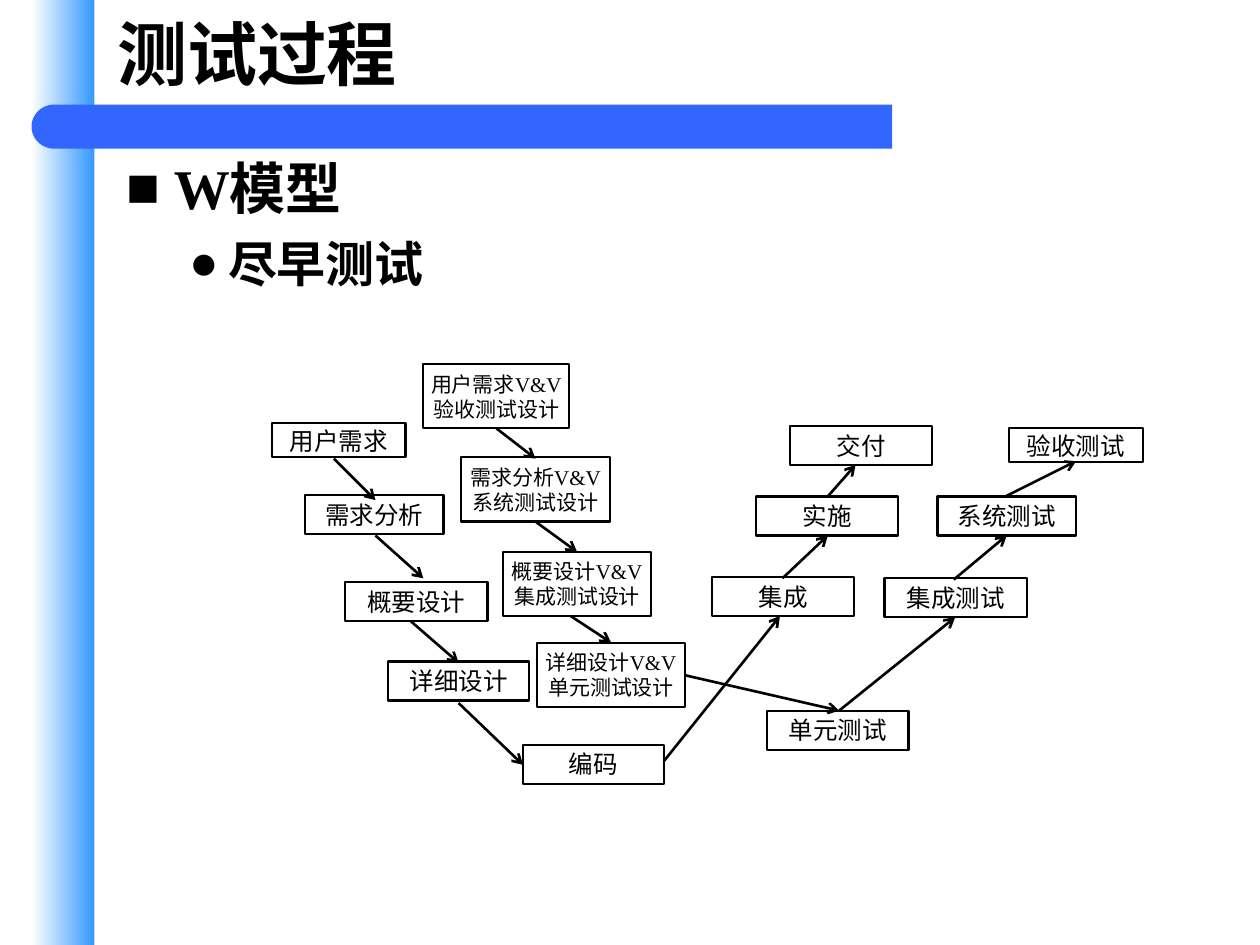
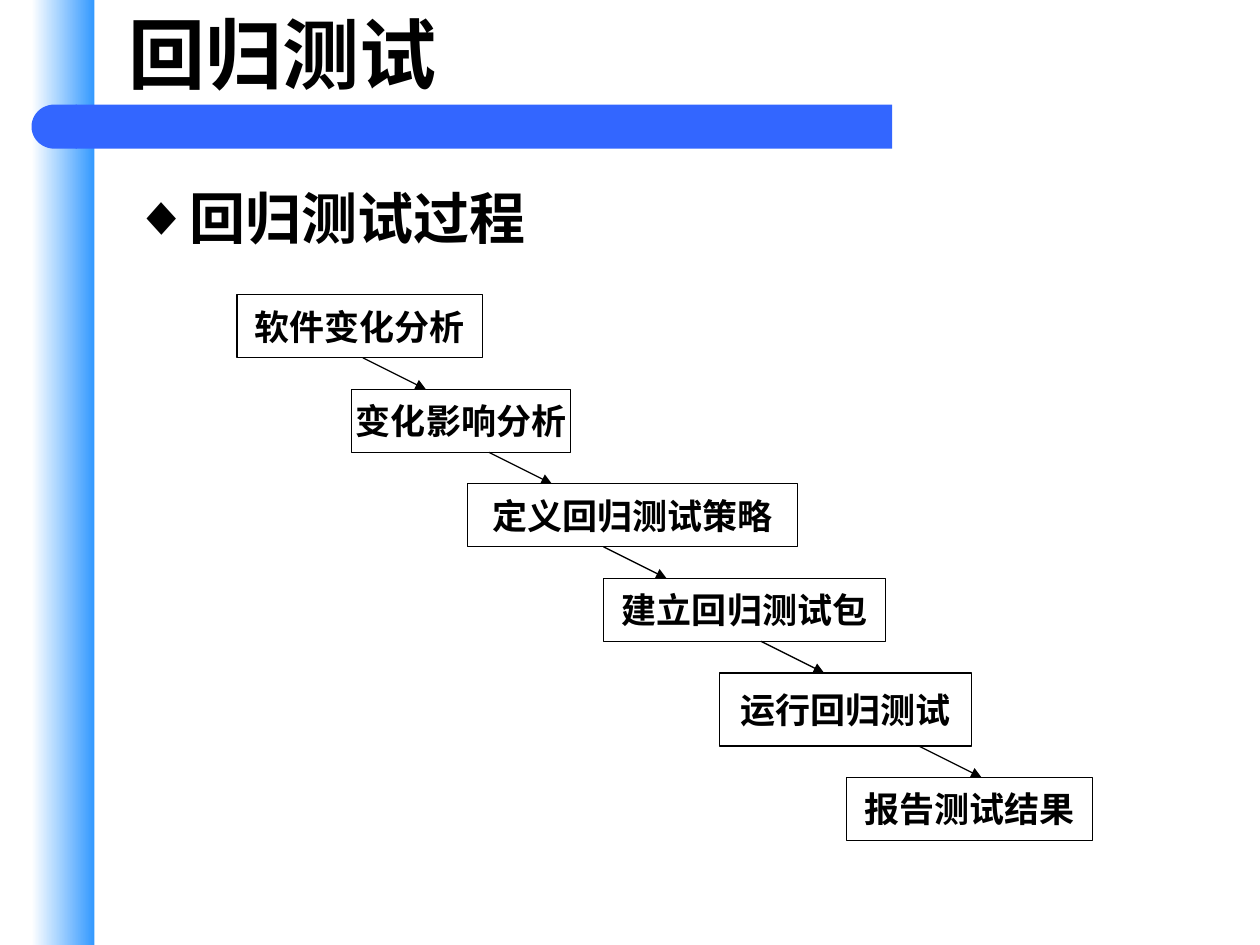
from itertools import pairwise

from pptx import Presentation
from pptx.dml.color import RGBColor
from pptx.enum.shapes import MSO_CONNECTOR, MSO_SHAPE
from pptx.enum.text import MSO_ANCHOR, MSO_AUTO_SIZE, PP_ALIGN
from pptx.oxml.ns import qn
from pptx.util import Inches, Pt

RECT, DELAY = MSO_SHAPE.RECTANGLE, MSO_SHAPE.FLOWCHART_DELAY
STRAIGHT = MSO_CONNECTOR.STRAIGHT
MIDDLE, TOP = MSO_ANCHOR.MIDDLE, MSO_ANCHOR.TOP
LEFT, CENTER = PP_ALIGN.LEFT, PP_ALIGN.CENTER
NO_FIT = MSO_AUTO_SIZE.NONE

BLACK, WHITE, SKY, BLUE = "000000", "FFFFFF", "3399FF", "3366FF"
TITLE_FONT, LATIN_FONT, CJK_FONT = "Calibri", "Times New Roman", "Noto Sans CJK SC"

TITLE_FRAME = {"vertical_anchor": MIDDLE, "auto_size": NO_FIT, "word_wrap": True}
BODY_FRAME = {"vertical_anchor": TOP, "auto_size": NO_FIT, "word_wrap": True,
              "margin_right": 0}
STEP_FRAME = {"vertical_anchor": MIDDLE, "word_wrap": False}
TIGHT_FRAME = STEP_FRAME | dict.fromkeys(
    ("margin_left", "margin_top", "margin_right", "margin_bottom"), Inches(0.04))

W_STEP = {"size": Pt(14), "name": LATIN_FONT, "bold": False}
W_CHECK = W_STEP | {"size": Pt(12)}
REGRESSION_STEP = {"size": Pt(20), "name": LATIN_FONT, "bold": True}

W_STEPS = [
    ("用户需求", 0, 0.47, 1.06, 0.27),
    ("需求分析", 0.26, 1.04, 1.1, 0.31),
    ("概要设计", 0.58, 1.73, 1.13, 0.31),
    ("详细设计", 0.92, 2.36, 1.12, 0.31),
    ("编码", 1.99, 3.02, 1.12, 0.31),
    ("集成", 3.49, 1.69, 1.13, 0.31),
    ("实施", 3.84, 1.05, 1.13, 0.31),
    ("交付", 4.11, 0.49, 1.13, 0.31),
    ("单元测试", 3.93, 2.75, 1.12, 0.31),
    ("集成测试", 4.86, 1.7, 1.13, 0.31),
    ("系统测试", 5.28, 1.05, 1.1, 0.31),
    ("验收测试", 5.85, 0.51, 1.06, 0.27),
]
W_CHECKS = [
    ("用户需求V&V\n验收测试设计", 1.2, 0, 1.16),
    ("需求分析V&V\n系统测试设计", 1.5, 0.74, 1.18),
    ("概要设计V&V\n集成测试设计", 1.83, 1.49, 1.18),
    ("详细设计V&V\n单元测试设计", 2.1, 2.21, 1.18),
]
W_ARROWS = [
    (0.49, 0.75, 0.82, 1.08), (0.82, 1.36, 1.2, 1.7),
    (1.1, 2.04, 1.48, 2.37), (1.48, 2.69, 1.99, 3.18),
    (3.11, 3.15, 4.03, 2), (4.05, 1.7, 4.41, 1.36), (4.41, 1.05, 4.63, 0.8),
    (1.78, 0.51, 2.09, 0.75), (2.09, 1.25, 2.42, 1.49),
    (2.37, 2, 2.69, 2.21), (3.28, 2.47, 4.5, 2.75),
    (4.5, 2.75, 5.42, 2.01), (5.41, 1.71, 5.83, 1.36), (5.82, 1.05, 6.38, 0.77),
]
REGRESSION_STEPS = [
    ("软件变化分析", 0, 1.95, 0.5),
    ("变化影响分析", 0.91, 1.74, 0.5),
    ("定义回归测试策略", 1.83, 2.62, 0.5),
    ("建立回归测试包", 2.91, 2.24, 0.5),
    ("运行回归测试", 3.83, 2, 0.58),
    ("报告测试结果", 4.84, 1.95, 0.5),
]
REGRESSION_EXITS = [1, 2, 2.91, 4.16, 5.41]


def color(hex_value):
    """Turn a hex string into a colour."""
    return RGBColor.from_string(hex_value)


def apply(target, values):
    """Set every attribute listed in a dict of format values."""
    for name, value in values.items():
        setattr(target, name, value)


def write(paragraph, text, font):
    """Write one formatted run into a paragraph."""
    run = paragraph.add_run()
    run.text = text
    apply(run.font, font)
    run.font.color.rgb = color(BLACK)
    east_asian = run.font._element.makeelement(qn("a:ea"), {"typeface": CJK_FONT})
    run.font._element.append(east_asian)


def place(shape, box):
    """Move a shape to a box given in inches."""
    lengths = map(Inches, box)
    apply(shape, dict(zip(("left", "top", "width", "height"), lengths)))


def add_band(slide, kind, box, fill=BLUE):
    """Add a borderless filled shape."""
    band = slide.shapes.add_shape(kind, *map(Inches, box))
    band.shadow.inherit = False
    band.line.fill.background()
    band.fill.solid()
    band.fill.fore_color.rgb = color(fill)
    return band


def add_frame(slide):
    """Put the side gradient and the title bar on the slide's layout."""
    side = add_band(slide, RECT, (0.25, 0, 0.5, 7.5))
    side.fill.gradient()
    side.fill.gradient_angle = 0
    for stop, shade, position in zip(side.fill.gradient_stops, (WHITE, SKY), (0, 1)):
        stop.color.rgb = color(shade)
        stop.position = position
    bar = add_band(slide, RECT, (0.6, 0.83, 6.48, 0.35))
    bar_end = add_band(slide, DELAY, (0.25, 0.83, 0.36, 0.35))
    bar_end.rotation = 180
    for index, part in enumerate((side, bar, bar_end), 2):
        slide.slide_layout.shapes.element.insert(index, part.element)


def add_title(slide, box, text, size):
    """Fill the title placeholder."""
    title = slide.shapes.title
    place(title, box)
    apply(title.text_frame, TITLE_FRAME)
    heading = title.text_frame.paragraphs[0]
    heading.alignment = LEFT
    write(heading, text, {"size": Pt(size), "name": TITLE_FONT, "bold": True})


def add_points(slide, box, points):
    """Fill the body placeholder with bulleted points."""
    body = slide.placeholders[1]
    place(body, box)
    frame = body.text_frame
    apply(frame, BODY_FRAME)
    for index, (text, level, size, font, bullet, margin, hang, before) in enumerate(points):
        point = frame.add_paragraph() if index else frame.paragraphs[0]
        apply(point, {"level": level, "alignment": LEFT, "space_before": Pt(before)})
        properties = point._p.get_or_add_pPr()
        properties.set("marL", str(Inches(margin)))
        properties.set("indent", str(-Inches(hang)))
        properties.append(properties.makeelement(qn("a:buChar"), {"char": bullet}))
        write(point, text, {"size": Pt(size), "name": font, "bold": True})


def add_step(slide, box, text, font, frame, weight, fill=None):
    """Add an outlined step with one paragraph for each line of text."""
    step = slide.shapes.add_shape(RECT, *map(Inches, box))
    step.shadow.inherit = False
    step.line.color.rgb = color(BLACK)
    step.line.width = Pt(weight)
    if fill:
        step.fill.solid()
        step.fill.fore_color.rgb = color(fill)
    else:
        step.fill.background()
    apply(step.text_frame, frame)
    for index, line in enumerate(text.split("\n")):
        paragraph = (step.text_frame.add_paragraph() if index
                     else step.text_frame.paragraphs[0])
        paragraph.alignment = CENTER
        write(paragraph, line, font)


def add_arrow(slide, ends, weight, head):
    """Add a straight arrow between two points."""
    arrow = slide.shapes.add_connector(STRAIGHT, *map(Inches, ends))
    arrow.line.color.rgb = color(BLACK)
    arrow.line.width = Pt(weight)
    outline = arrow.line._get_or_add_ln()
    outline.append(outline.makeelement(qn("a:tailEnd"), {"type": head}))
    properties = arrow.element.spPr
    properties.append(properties.makeelement(qn("a:effectLst"), {}))


def draw_w_model(slide, left, top):
    """Draw the W model from its top left corner."""
    for text, x, y, width, height in W_STEPS:
        add_step(slide, (left + x, top + y, width, height), text, W_STEP, STEP_FRAME, 1.25)
    for text, x, y, width in W_CHECKS:
        add_step(slide, (left + x, top + y, width, 0.51), text, W_CHECK, TIGHT_FRAME, 1.25)
    for x1, y1, x2, y2 in W_ARROWS:
        add_arrow(slide, (left + x1, top + y1, left + x2, top + y2), 1.5, "arrow")


def draw_regression_steps(slide, left, top, gap=0.25, run=0.5):
    """Draw the descending regression steps from their top left corner."""
    tops = [top]
    for text, x, width, height in REGRESSION_STEPS:
        add_step(slide, (left + x, tops[-1], width, height), text,
                 REGRESSION_STEP, STEP_FRAME, 0.75, WHITE)
        tops.append(tops[-1] + height + gap)
    for x, (_, entry) in zip(REGRESSION_EXITS, pairwise(tops)):
        add_arrow(slide, (left + x, entry - gap, left + x + run, entry), 0.75, "triangle")


def build_process_slide(slide):
    """Build the slide on the test process."""
    add_title(slide, (0.83, -0.03, 8.2, 0.89), "测试过程", 40)
    add_points(slide, (0.9, 1.17, 8.66, 1.64), [
        ("W模型", 0, 32, LATIN_FONT, "■", 0.38, 0.38, 8),
        ("尽早测试", 1, 28, CJK_FONT, "●", 0.81, 0.31, 7),
    ])
    draw_w_model(slide, 2.16, 2.89)


def build_regression_slide(slide):
    """Build the slide on regression testing."""
    add_title(slide, (0.92, 0, 8.67, 0.83), "回归测试", 44)
    add_points(slide, (0.96, 1.41, 3.31, 0.64), [
        ("回归测试过程", 0, 32, "Noto Sans CJK JP", "◆", 0.44, 0.44, 0),
    ])
    draw_regression_steps(slide, 1.88, 2.34)


def main():
    """Build and save the presentation."""
    deck = Presentation()
    deck.slide_width, deck.slide_height = Inches(10), Inches(7.5)
    layout = deck.slide_layouts[1]
    process, regression = (deck.slides.add_slide(layout) for _ in range(2))
    add_frame(process)
    build_process_slide(process)
    build_regression_slide(regression)
    deck.save("out.pptx")


if __name__ == "__main__":
    main()
